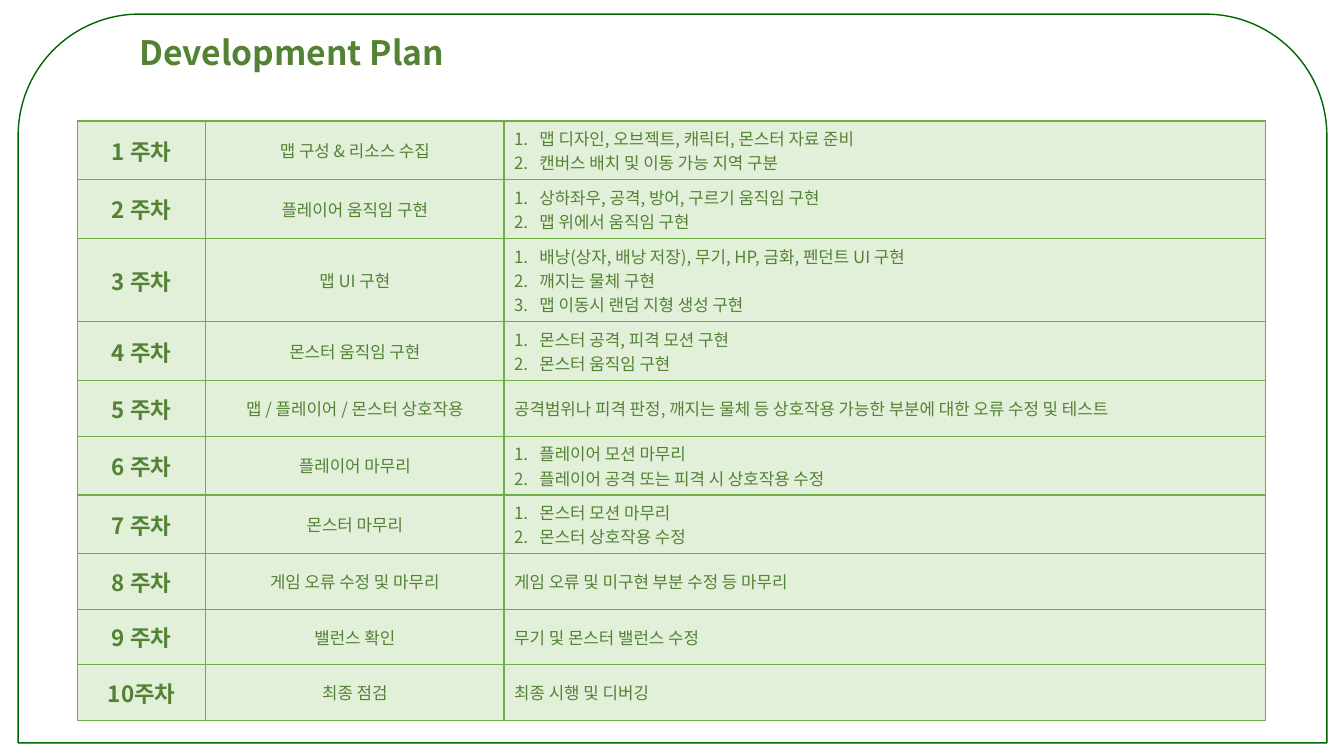
import pptx
import pptx.util
import pptx.dml.color
import pptx.enum.shapes
import pptx.enum.text
import pptx.oxml
import pptx.oxml.ns
import lxml.etree
from pptx.util import Inches

# Content: week, topic, tasks
HEAD = "Development Plan"
PLAN = [
    ("1 주차", "맵 구성 & 리소스 수집",
     ["맵 디자인, 오브젝트, 캐릭터, 몬스터 자료 준비", "캔버스 배치 및 이동 가능 지역 구분"]),
    ("2 주차", "플레이어 움직임 구현",
     ["상하좌우, 공격, 방어, 구르기 움직임 구현", "맵 위에서 움직임 구현"]),
    ("3 주차", "맵 UI 구현",
     ["배낭(상자, 배낭 저장), 무기, HP, 금화, 펜던트 UI 구현", "깨지는 물체 구현",
      "맵 이동시 랜덤 지형 생성 구현"]),
    ("4 주차", "몬스터 움직임 구현",
     ["몬스터 공격, 피격 모션 구현", "몬스터 움직임 구현"]),
    ("5 주차", "맵 / 플레이어 / 몬스터 상호작용",
     ["공격범위나 피격 판정, 깨지는 물체 등 상호작용 가능한 부분에 대한 오류 수정 및 테스트"]),
    ("6 주차", "플레이어 마무리",
     ["플레이어 모션 마무리", "플레이어 공격 또는 피격 시 상호작용 수정"]),
    ("7 주차", "몬스터 마무리",
     ["몬스터 모션 마무리", "몬스터 상호작용 수정"]),
    ("8 주차", "게임 오류 수정 및 마무리", ["게임 오류 및 미구현 부분 수정 등 마무리"]),
    ("9 주차", "밸런스 확인", ["무기 및 몬스터 밸런스 수정"]),
    ("10주차", "최종 점검", ["최종 시행 및 디버깅"]),
]
COLS = [1.27, 2.96, 7.55]
ROW, TALL = 0.55, 0.7


class Theme:
    font = "Noto Sans CJK KR"
    ink = "548235"
    cell = "E2F0D9"
    grid = "70AD47"
    edge = "006600"
    back = "FFFFFF"
    head, week, text = 24, 16, 12


ALIGN = pptx.enum.text.PP_ALIGN
MID = pptx.enum.text.MSO_ANCHOR.MIDDLE
qn = pptx.oxml.ns.qn


def color(code):
    return pptx.dml.color.RGBColor.from_string(code)


def style(para, size, bold=False, align=ALIGN.LEFT):
    para.alignment = align
    font = para.font
    font.size, font.bold, font.name = pptx.util.Pt(size), bold, Theme.font
    font.color.rgb = color(Theme.ink)
    props = para._p.pPr.find(qn("a:defRPr"))
    lxml.etree.SubElement(props, qn("a:ea"), typeface=Theme.font)


def number(para):
    props = para._p.get_or_add_pPr()
    props.set("marL", str(Inches(0.25)))
    props.set("indent", str(-Inches(0.25)))
    lxml.etree.SubElement(props, qn("a:buFont"), typeface="+mj-lt")
    lxml.etree.SubElement(props, qn("a:buAutoNum"), type="arabicPeriod")


def border(cell):
    props = cell._tc.get_or_add_tcPr()
    for side in ("lnL", "lnR", "lnT", "lnB"):
        line = lxml.etree.SubElement(props, qn("a:" + side), w=str(pptx.util.Pt(1)))
        fill = lxml.etree.SubElement(line, qn("a:solidFill"))
        lxml.etree.SubElement(fill, qn("a:srgbClr"), val=Theme.grid)


def write(cell, lines, size, bold=False, align=ALIGN.LEFT):
    border(cell)
    cell.fill.solid()
    cell.fill.fore_color.rgb = color(Theme.cell)
    cell.vertical_anchor = MID
    cell.text = "\n".join(lines)
    for para in cell.text_frame.paragraphs:
        if len(lines) > 1:
            number(para)
        style(para, size, bold, align)


def main():
    deck = pptx.Presentation()
    deck.slide_width, deck.slide_height = Inches(13.33), Inches(7.5)
    slide = deck.slides.add_slide(deck.slide_layouts[5])
    shapes = slide.shapes

    # Frame, sent behind the title
    frame = shapes.add_shape(pptx.enum.shapes.MSO_SHAPE.ROUND_2_SAME_RECTANGLE,
                             Inches(0.18), Inches(0.14), Inches(12.98), Inches(7.23))
    frame.shadow.inherit = False
    frame.fill.solid()
    frame.fill.fore_color.rgb = color(Theme.back)
    frame.line.color.rgb = color(Theme.edge)
    frame.line.width = pptx.util.Pt(1)
    shapes.title._element.addprevious(frame._element)

    # Title
    title = shapes.title
    title.left, title.top = Inches(1.28), Inches(0.27)
    title.width, title.height = Inches(5.04), Inches(0.5)
    title.text = HEAD
    title.text_frame.auto_size = pptx.enum.text.MSO_AUTO_SIZE.NONE
    title.text_frame.vertical_anchor = MID
    style(title.text_frame.paragraphs[0], Theme.head, True)

    # Plan table
    table = shapes.add_table(len(PLAN), len(COLS), Inches(0.77), Inches(1.2),
                             Inches(sum(COLS)), Inches(ROW * len(PLAN))).table
    table.first_row = table.horz_banding = False
    for col, width in zip(table.columns, COLS):
        col.width = Inches(width)
    for row, (week, topic, tasks) in zip(table.rows, PLAN):
        row.height = Inches(TALL if len(tasks) > 2 else ROW)
        left, mid, right = row.cells
        write(left, [week], Theme.week, True, ALIGN.CENTER)
        write(mid, [topic], Theme.text, align=ALIGN.CENTER)
        write(right, tasks, Theme.text)

    deck.save("out.pptx")


if __name__ == "__main__":
    main()
